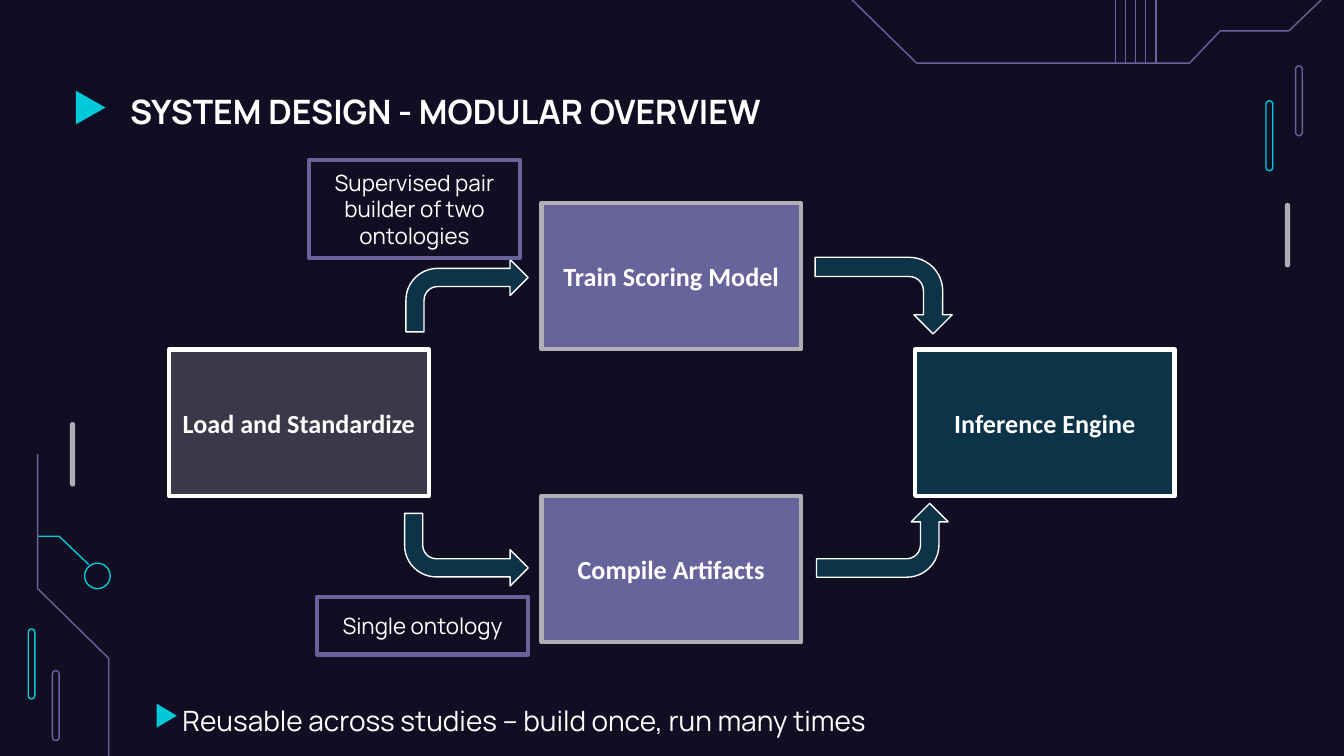
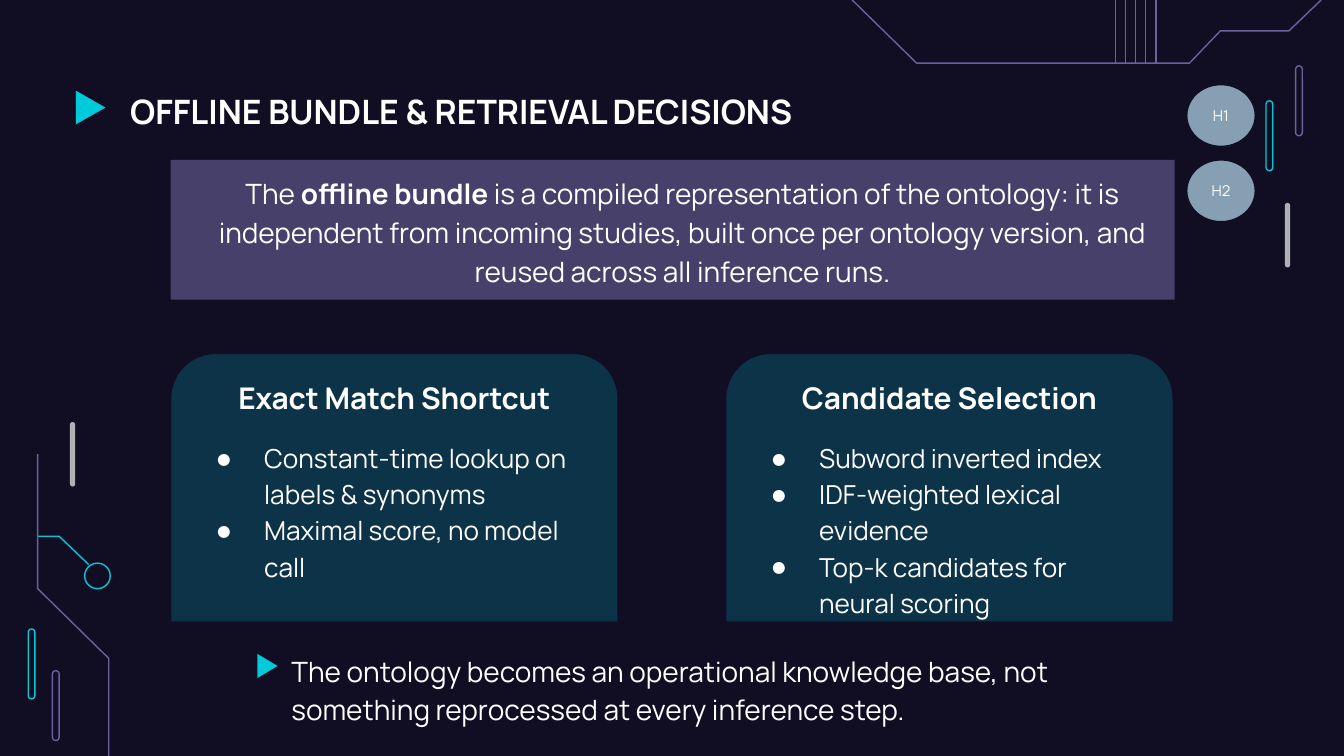
"""Build two dark circuit-themed slides on an ontology matching system."""
from lxml import etree
from pptx import Presentation
from pptx import util as u
from pptx.dml.color import RGBColor
from pptx.enum import shapes, text
from pptx.oxml import ns

NIGHT, WHITE, CYAN, PURPLE = "110E24", "FFFFFF", "00CADA", "69639C"
SILVER, PALE, PLUM, STEEL = "AFAFB6", "E0E0E0", "46406B", "869FB2"
FONT, BOX_FONT = "Manrope", "Calibri"
WIDTH, HEIGHT = 10, 10 * 9 / 16
KIND = shapes.MSO_SHAPE
LEFT, CENTER = text.PP_ALIGN.LEFT, text.PP_ALIGN.CENTER
TOP, MIDDLE = text.MSO_ANCHOR.TOP, text.MSO_ANCHOR.MIDDLE


def color(value):
    """Turn a hex string into a colour."""
    return RGBColor.from_string(value)


def inches(values):
    """Turn numbers into lengths."""
    return [u.Inches(value) for value in values]


def child(parent, tag, **attributes):
    """Append a drawing element."""
    return etree.SubElement(parent, ns.qn(tag), attributes)


def paint(shape, fill=None, alpha=None, line=None, weight=0.75):
    """Set fill, opacity in percent and outline, without shadow."""
    shape.shadow.inherit = False
    if fill:
        shape.fill.solid()
        shape.fill.fore_color.rgb = color(fill)
        if alpha:
            tint = next(shape._element.spPr.iter(ns.qn("a:srgbClr")))
            child(tint, "a:alpha", val=str(alpha * 1000))
    else:
        shape.fill.background()
    if line:
        shape.line.color.rgb = color(line)
        shape.line.width = u.Pt(weight)
    else:
        shape.line.fill.background()


def add_shape(page, kind, box, rotation=0, flip=False, **look):
    """Add a painted preset shape."""
    shape = page.shapes.add_shape(kind, *inches(box))
    shape.rotation = rotation
    if flip:
        shape._element.spPr.find(ns.qn("a:xfrm")).set("flipH", "1")
    paint(shape, **look)
    return shape


def write(shape, words, size, font=FONT, bold=False, align=LEFT, anchor=TOP,
          wrap=True, spacing=None, before=None, indent=0, bullet=None, hang=0):
    """Add one paragraph; asterisks in the words toggle bold."""
    frame = shape.text_frame
    frame.word_wrap = wrap
    frame.vertical_anchor = anchor
    frame.margin_left = frame.margin_right = u.Inches(0.1)
    frame.margin_top = frame.margin_bottom = u.Inches(0.1)
    para = frame.paragraphs[0] if not frame.text else frame.add_paragraph()
    para.alignment = align
    if spacing:
        para.line_spacing = spacing
    if before:
        para.space_before = u.Pt(before)
    props = para._p.get_or_add_pPr()
    props.set("marL", str(u.Inches(indent)))
    props.set("indent", str(u.Inches(-hang)))
    if bullet:
        child(child(props, "a:buClr"), "a:srgbClr", val=WHITE)
        child(props, "a:buSzPct", val="60000")
        child(props, "a:buFont", typeface=FONT)
        child(props, "a:buChar", char=bullet)
    for number, piece in enumerate(words.split("*")):
        span = para.add_run()
        span.text = piece
        span.font.name = font
        span.font.size = u.Pt(size)
        span.font.bold = bold or number % 2 == 1
        span.font.color.rgb = color(WHITE)


def add_text(page, box, words, size, **style):
    """Add a text box with one paragraph."""
    write(page.shapes.add_textbox(*inches(box)), words, size, spacing=1.15, **style)


def add_trace(page, points, line):
    """Add an open circuit trace through the points."""
    start, *rest = [inches(point) for point in points]
    builder = page.shapes.build_freeform(*start)
    builder.add_line_segments(rest, close=False)
    paint(builder.convert_to_shape(), line=line)


def add_marker(page, box):
    """Add a cyan triangle pointing right."""
    add_shape(page, KIND.FLOWCHART_MERGE, box, rotation=270, fill=CYAN)


def add_pill(page, box, **look):
    """Add a bar with fully rounded ends."""
    add_shape(page, KIND.ROUNDED_RECTANGLE, box, **look).adjustments[0] = 0.5


def add_top_circuit(page, box):
    """Draw the trace and the parallel wires at the top right."""
    left, top, width, height = box
    bottom = top + height
    for number in range(5):
        x = left + 1.96 + number * 0.3 / 4
        wire = page.shapes.add_connector(
            shapes.MSO_CONNECTOR.STRAIGHT, *inches((x, bottom, x, top)))
        wire.line.color.rgb = color(PURPLE)
        wire.line.width = u.Pt(0.75)
        child(wire._element.spPr, "a:effectLst")
    steps = [(0, 0), (0.48, height), (2.51, height), (2.74, 0.23), (3.25, 0.23), (width, 0)]
    add_trace(page, [(left + x, top + y) for x, y in steps], PURPLE)


def add_left_circuit(page, box):
    """Draw the trace and its branch at the lower left."""
    left, top, width, height = box
    branch = [(0.38, 0.82), (0.16, 0.61), (0, 0.61)]
    trunk = [(0, 0), (0, 1), (width, 1.52), (width, height)]
    for steps, line in ((branch, CYAN), (trunk, PURPLE)):
        add_trace(page, [(left + x, top + y) for x, y in steps], line)
    add_shape(page, KIND.OVAL, (left + 0.35, top + 0.81, 0.19, 0.19), line=CYAN)


def add_page(deck, title):
    """Add a page with circuit decoration, marker and title."""
    page = deck.slides.add_slide(deck.slide_layouts[6])
    for x, y, line in ((9.42, 0.75, CYAN), (9.64, 0.49, PURPLE),
                       (0.21, 4.68, CYAN), (0.39, 4.99, PURPLE)):
        add_pill(page, (x, y, 0.05, 0.52), line=line)
    for x, y in ((9.56, 1.51), (0.52, 3.14)):
        add_pill(page, (x, y, 0.04, 0.48), fill=SILVER)
    add_top_circuit(page, (6.34, 0, 3.49, 0.47))
    add_left_circuit(page, (0.28, 3.38, 0.53, HEIGHT - 3.38))
    add_marker(page, (0.55, 0.69, 0.25, 0.22))
    add_text(page, (0.87, 0.53, 6.09, 0.65), title, 18, bold=True)
    return page


def add_modules(page, box):
    """Draw the four modules, their arrows and the input labels."""
    left, top, width, height = box
    module_width, module_height = 1.93, height / 3
    middle, right = 2.77, width - module_width
    teal = dict(fill=CYAN, alpha=20)
    violet = dict(fill=PURPLE, line=SILVER)
    modules = (
        ("Load and Standardize", 0, 1, dict(fill=PALE, alpha=20, line=WHITE)),
        ("Train Scoring Model", middle, 0, violet),
        ("Compile Artifacts", middle, 2, violet),
        ("Inference Engine", right, 1, dict(teal, line=WHITE)),
    )
    for name, x, row, look in modules:
        place = (left + x, top + row * module_height, module_width, module_height)
        module = add_shape(page, KIND.RECTANGLE, place, weight=2.25, **look)
        write(module, name, 14, font=BOX_FONT, bold=True, align=CENTER,
              anchor=MIDDLE, wrap=False)
    arrows = (
        (1.76, 0.42, 0.91, 0.54, 0, False),
        (1.75, 2.31, 0.92, 0.54, 180, True),
        (5.03, 2.02, 0.55, 0.98, 90, True),
        (5.03, 0.18, 0.57, 1.02, 90, False),
    )
    for x, y, wide, high, rotation, flip in arrows:
        add_shape(page, KIND.BENT_ARROW, (left + x, top + y, wide, high),
                  rotation, flip, line=WHITE, **teal)
    labels = (
        ("Supervised pair builder of two ontologies", 1.04, -0.32, 0.73),
        ("Single ontology", 1.1, 2.93, 0.43),
    )
    for words, x, y, high in labels:
        label = add_shape(page, KIND.RECTANGLE, (left + x, top + y, 1.57, high),
                          line=PURPLE, weight=2.25)
        write(label, words, 12, align=CENTER, anchor=MIDDLE)


def add_card(page, box, heading, points):
    """Add a round-topped card with a heading and bullets."""
    card = add_shape(page, KIND.ROUND_2_SAME_RECTANGLE, box, fill=CYAN, alpha=20, line=NIGHT)
    write(card, heading, 16, bold=True, align=CENTER)
    for number, point in enumerate(points):
        write(card, point, 14, spacing=1.15, before=0 if number else 12,
              bullet="●", indent=0.5, hang=0.35)


def add_takeaway(page, box, words, gap):
    """Add a closing sentence with a marker set out to its left."""
    left, top, _, _ = box
    add_text(page, box, words, 15)
    add_marker(page, (left - gap, top + 0.15, 0.18, 0.15))


def add_badges(page, box, names):
    """Stack round badges downwards from the given box."""
    left, top, width, height = box
    for number, name in enumerate(names):
        badge = add_shape(page, KIND.OVAL, (left, top + number * 0.56, width, height),
                          fill=STEEL, line=NIGHT)
        write(badge, name, 8, align=CENTER, anchor=MIDDLE)


def build_overview(deck):
    """Build the modular overview page."""
    page = add_page(deck, "SYSTEM DESIGN - MODULAR OVERVIEW")
    add_modules(page, (1.26, 1.51, 7.48, 3.27))
    add_takeaway(page, (1.26, 5.1, 5.56, 0.43),
                 "Reusable across studies – build once, run many times", 0.11)


def build_decisions(deck):
    """Build the offline bundle and retrieval page."""
    page = add_page(deck, "OFFLINE BUNDLE & RETRIEVAL DECISIONS")
    add_takeaway(page, (2.07, 4.73, 6.67, 0.65),
                 "The ontology becomes an operational knowledge base, not something "
                 "reprocessed at every inference step.", 0.17)
    banner = add_shape(page, KIND.RECTANGLE, (1.27, 1.19, 7.47, 1.04), fill=PLUM)
    write(banner, "The *offline bundle* is a compiled representation of the ontology: "
          "it is independent from incoming studies, built once per ontology version, "
          "and reused across all inference runs.",
          15, align=CENTER, anchor=MIDDLE, spacing=1.15, indent=0.15)
    add_card(page, (1.27, 2.63, 3.33, 2), "Exact Match Shortcut",
             ("Constant-time lookup on labels & synonyms", "Maximal score, no model call"))
    add_card(page, (5.4, 2.63, 3.33, 2), "Candidate Selection",
             ("Subword inverted index", "IDF-weighted lexical evidence",
              "Top-k candidates for neural scoring"))
    add_badges(page, (8.83, 0.63, 0.51, 0.46), ("H1", "H2"))


def main():
    """Build and save the deck."""
    deck = Presentation()
    deck.slide_width, deck.slide_height = inches((WIDTH, HEIGHT))
    backdrop = deck.slide_master.background.fill
    backdrop.solid()
    backdrop.fore_color.rgb = color(NIGHT)
    build_overview(deck)
    build_decisions(deck)
    deck.save("out.pptx")


if __name__ == "__main__":
    main()
